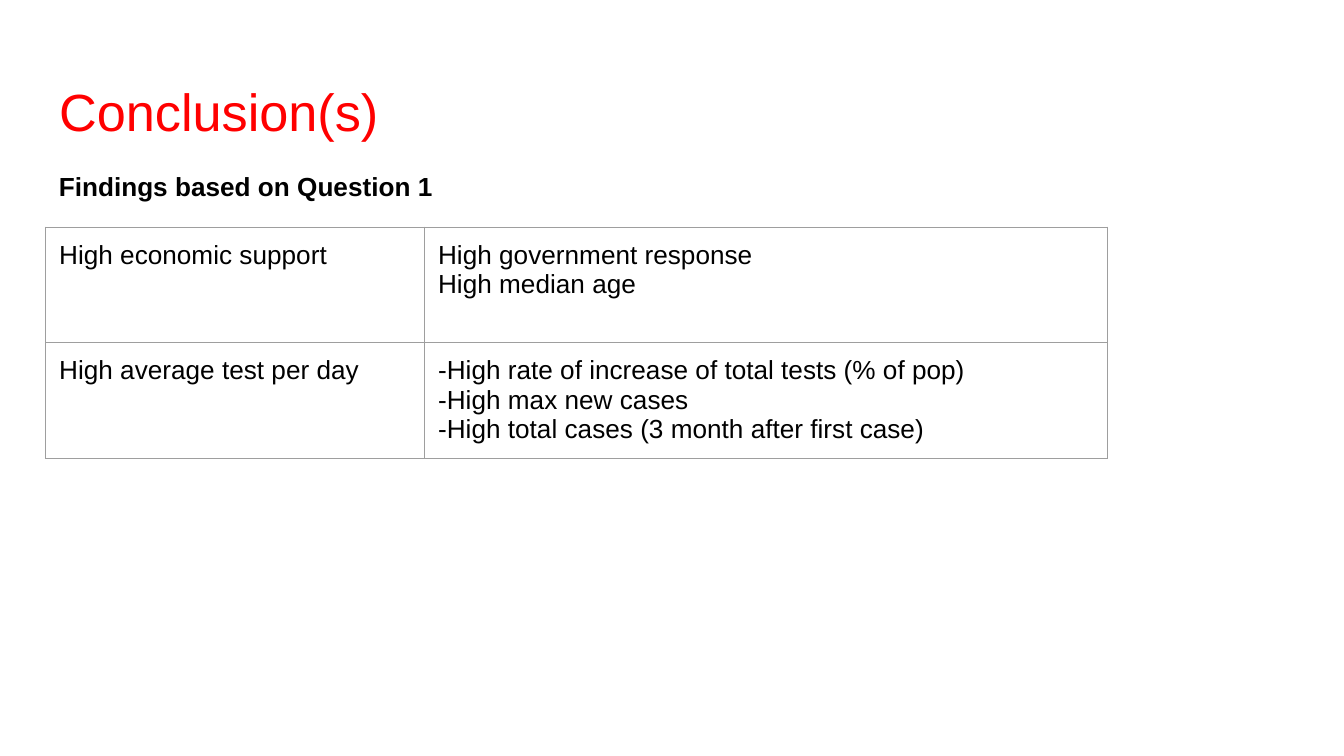
from typing import NamedTuple

from lxml.etree import SubElement
from pptx import Presentation
from pptx.dml.color import RGBColor
from pptx.enum.text import MSO_ANCHOR, MSO_AUTO_SIZE, PP_ALIGN
from pptx.oxml.ns import qn
from pptx.util import Inches, Pt

COLORS = {"title": "FF0000", "text": "000000", "border": "9E9E9E"}
FONT = "Arial"
INSET = 0.1
LEFT = 0.34
COLUMN_WIDTHS = (2.82, 5.08)
ROW_HEIGHT = 0.86


class Finding(NamedTuple):
    factor: str
    outcomes: str


FINDINGS = (
    Finding("High economic support", "High government response\nHigh median age"),
    Finding(
        "High average test per day",
        "-High rate of increase of total tests (% of pop)\n"
        "-High max new cases\n"
        "-High total cases (3 month after first case)",
    ),
)


def write(frame, text: str, *, size: float = 14, color: str = "text", bold: bool = False,
          line_spacing: float = 1.0, space_after: float = 0) -> None:
    """Fill a text frame, one paragraph for each line of text."""
    frame.text = text
    for paragraph in frame.paragraphs:
        paragraph.alignment = PP_ALIGN.LEFT
        paragraph.line_spacing = line_spacing
        paragraph.space_before = Pt(0)
        paragraph.space_after = Pt(space_after)
        for run in paragraph.runs:
            font = run.font
            font.name, font.size, font.bold = FONT, Pt(size), bold
            font.color.rgb = RGBColor.from_string(COLORS[color])


def set_insets(holder) -> None:
    """Give a text frame or a table cell the same margin on every side."""
    holder.margin_left = holder.margin_right = Inches(INSET)
    holder.margin_top = holder.margin_bottom = Inches(INSET)
    holder.vertical_anchor = MSO_ANCHOR.TOP


def set_frame(frame) -> None:
    set_insets(frame)
    frame.word_wrap = True
    frame.auto_size = MSO_AUTO_SIZE.NONE


def add_borders(cell) -> None:
    properties = cell._tc.get_or_add_tcPr()
    for position, side in enumerate(("a:lnL", "a:lnR", "a:lnT", "a:lnB")):
        line = SubElement(properties, qn(side), w=str(Pt(0.75)))
        fill = SubElement(line, qn("a:solidFill"))
        SubElement(fill, qn("a:srgbClr"), val=COLORS["border"])
        properties.insert(position, line)


def add_findings(slide, findings: tuple[Finding, ...]) -> None:
    table = slide.shapes.add_table(
        len(findings), len(COLUMN_WIDTHS), Inches(LEFT), Inches(1.69),
        Inches(sum(COLUMN_WIDTHS)), Inches(ROW_HEIGHT * len(findings)),
    ).table
    table.first_row = table.horz_banding = False
    for column, width in zip(table.columns, COLUMN_WIDTHS):
        column.width = Inches(width)
    for row, finding in zip(table.rows, findings):
        row.height = Inches(ROW_HEIGHT)
        for cell, text in zip(row.cells, finding):
            cell.fill.background()
            set_insets(cell)
            write(cell.text_frame, text)
            add_borders(cell)


def main() -> None:
    deck = Presentation()
    deck.slide_width = Inches(10)
    deck.slide_height = deck.slide_width * 9 // 16
    slide = deck.slides.add_slide(deck.slide_layouts[5])

    title = slide.shapes.title
    title.left, title.top = Inches(LEFT), Inches(0.49)
    title.width, title.height = Inches(9.32), Inches(0.63)
    set_frame(title.text_frame)
    write(title.text_frame, "Conclusion(s)", size=28, color="title")

    subtitle = slide.shapes.add_textbox(Inches(LEFT), Inches(1.13), Inches(8.96), Inches(3.36))
    set_frame(subtitle.text_frame)
    write(subtitle.text_frame, "Findings based on Question 1", bold=True,
          line_spacing=1.15, space_after=16)

    add_findings(slide, FINDINGS)
    deck.save("out.pptx")


if __name__ == "__main__":
    main()
